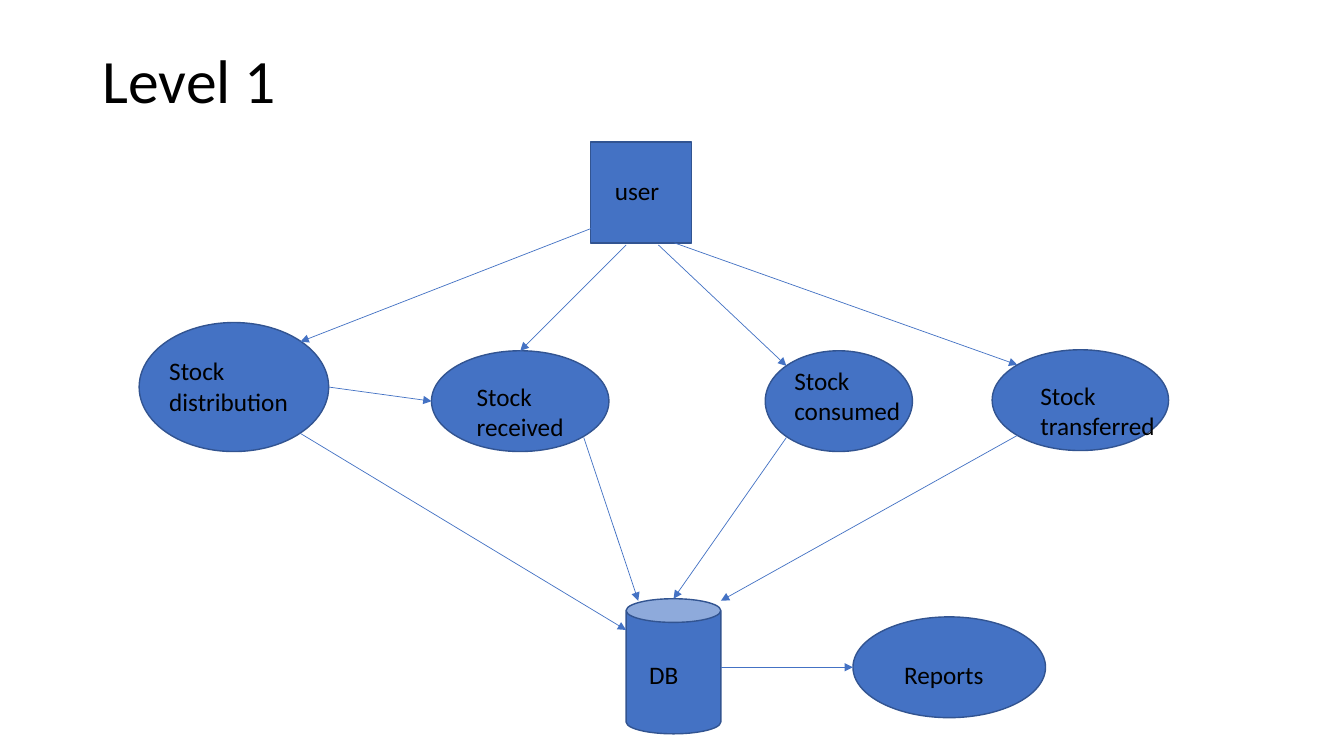
import pptx
import pptx.util
import pptx.dml.color
import pptx.enum.shapes
import pptx.enum.text
import pptx.oxml
import pptx.oxml.ns

Inches, Pt = pptx.util.Inches, pptx.util.Pt
RGBColor = pptx.dml.color.RGBColor
SHAPE = pptx.enum.shapes.MSO_SHAPE
ANCHOR = pptx.enum.text.MSO_ANCHOR

BLUE = RGBColor(0x44, 0x72, 0xC4)
DARK_BLUE = RGBColor(0x32, 0x54, 0x91)
BLACK = RGBColor(0, 0, 0)

TITLE = ("Level 1", (0.92, 0.4, 11.5, 0.85))

NODES = [
    ("user", SHAPE.RECTANGLE, (5.86, 1.41, 1, 1), (6, 1.69, 0.99, 0.4)),
    ("Stock distribution", SHAPE.OVAL, (1.38, 3.2, 1.88, 1.28), (1.58, 3.48, 1.48, 0.71)),
    ("Stock received", SHAPE.OVAL, (4.28, 3.48, 1.76, 1), (4.63, 3.73, 1.16, 0.71)),
    ("Stock consumed", SHAPE.OVAL, (7.59, 3.48, 1.46, 1), (7.78, 3.57, 1.26, 0.71)),
    ("Stock transferred", SHAPE.OVAL, (9.84, 3.47, 1.75, 1), (10.22, 3.72, 1.37, 0.71)),
    ("DB", SHAPE.CAN, (6.21, 5.94, 0.94, 1.34), (6.34, 6.49, 0.81, 0.4)),
    ("Reports", SHAPE.OVAL, (8.46, 6.12, 1.91, 1), (8.87, 6.49, 1.16, 0.4)),
]

USER_FLOWS = [
    ((5.88, 2.26), (2.98, 3.39)),
    ((6.21, 2.43), (5.16, 3.48)),
    ((6.53, 2.43), (7.8, 3.63)),
    ((6.69, 2.41), (10.09, 3.62)),
]
DB_FLOWS = [
    ((2.98, 4.3), (6.21, 6.25)),
    ((5.79, 4.34), (6.33, 5.96)),
    ((7.8, 4.34), (6.68, 5.94)),
    ((10.09, 4.32), (7.15, 5.96)),
]
SIDE_FLOWS = [
    ((3.26, 3.84), (4.28, 3.98)),
    ((7.15, 6.62), (8.46, 6.62)),
]


def inches(lengths):
    return [Inches(length) for length in lengths]


def add_node(slide, outline, box):
    node = slide.shapes.add_shape(outline, *inches(box))
    node.shadow.inherit = False
    node.fill.solid()
    node.fill.fore_color.rgb = BLUE
    node.line.color.rgb = DARK_BLUE
    node.line.width = Pt(1)


def add_flow(slide, start, end):
    flow = slide.shapes.add_connector(
        pptx.enum.shapes.MSO_CONNECTOR.STRAIGHT, *inches(start + end))
    flow.line.color.rgb = BLUE
    flow.line.width = Pt(0.5)
    arrowhead = pptx.oxml.parse_xml(
        '<a:tailEnd %s type="triangle"/>' % pptx.oxml.ns.nsdecls("a"))
    flow.line._get_or_add_ln().append(arrowhead)
    no_effects = pptx.oxml.parse_xml('<a:effectLst %s/>' % pptx.oxml.ns.nsdecls("a"))
    flow._element.spPr.append(no_effects)


def add_label(slide, wording, box, size, anchor=ANCHOR.TOP, spacing=None):
    frame = slide.shapes.add_textbox(*inches(box)).text_frame
    frame.word_wrap = True
    frame.vertical_anchor = anchor
    frame.text = wording
    paragraph = frame.paragraphs[0]
    paragraph.line_spacing = spacing
    paragraph.font.name = "Calibri"
    paragraph.font.size = Pt(size)
    paragraph.font.color.rgb = BLACK


deck = pptx.Presentation()
deck.slide_width, deck.slide_height = Inches(13.33), Inches(7.5)
level_1 = deck.slides.add_slide(deck.slide_layouts[6])

add_label(level_1, *TITLE, 44, ANCHOR.MIDDLE, 0.9)
for name, outline, box, label_box in NODES:
    add_node(level_1, outline, box)
for start, end in USER_FLOWS + DB_FLOWS + SIDE_FLOWS:
    add_flow(level_1, start, end)
for name, outline, box, label_box in NODES:
    add_label(level_1, name, label_box, 18)

deck.save("out.pptx")
